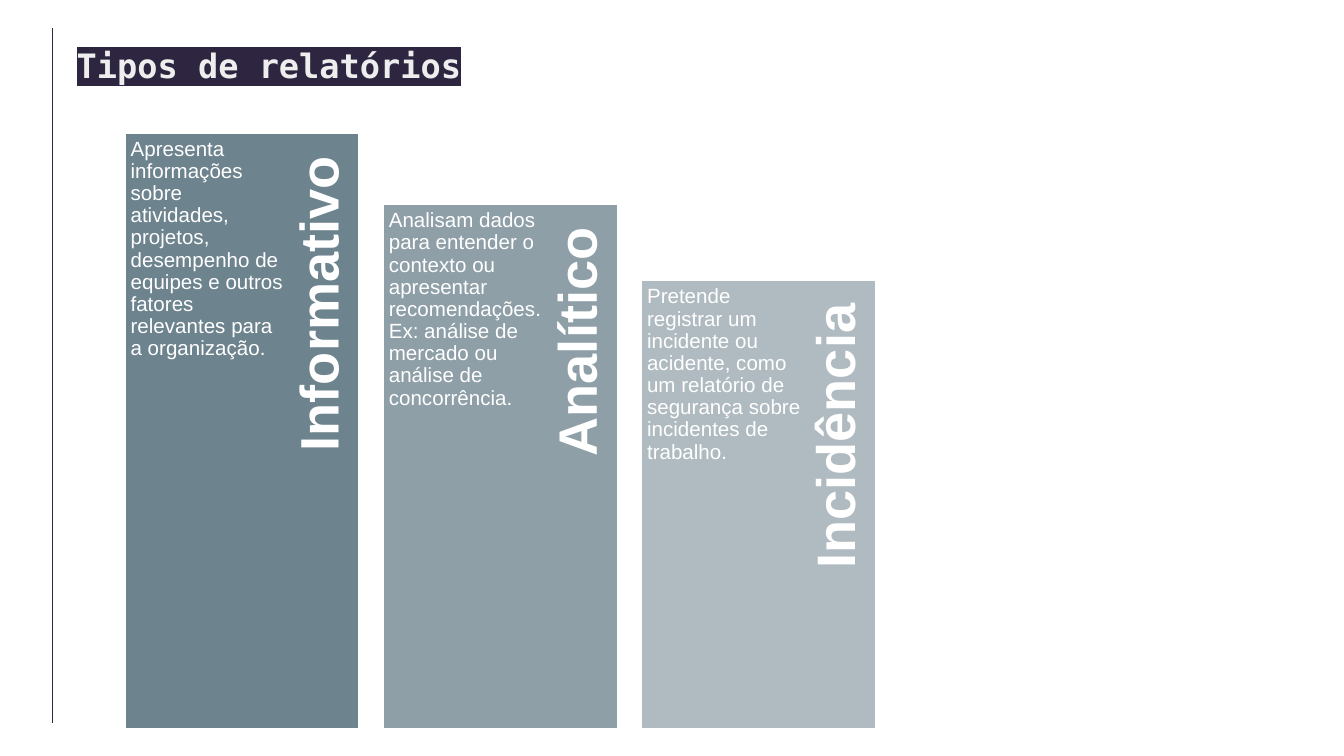
from lxml.etree import SubElement
from pptx import Presentation
from pptx.dml.color import RGBColor
from pptx.enum.shapes import MSO_CONNECTOR as LINE, MSO_SHAPE as SHAPE
from pptx.enum.text import MSO_ANCHOR as ANCHOR, MSO_AUTO_SIZE as FIT, PP_ALIGN as ALIGN
from pptx.oxml import parse_xml
from pptx.oxml.ns import qn
from pptx.util import Cm, Pt

TITLE = "Tipos de relatórios"
DARK, WHITE = "2E2640", "FFFFFF"
BARS = [
    ("Informativo", 2.49, "6D838E",
     "Apresenta informações sobre atividades, projetos, desempenho de equipes "
     "e outros fatores relevantes para a organização."),
    ("Analítico", 3.84, "8F9FA8",
     "Analisam dados para entender o contexto ou apresentar recomendações. "
     "Ex: análise de mercado ou análise de concorrência."),
    ("Incidência", 5.28, "B0BBC1",
     "Pretende registrar um incidente ou acidente, como um relatório de "
     "segurança sobre incidentes de trabalho."),
]
LEFT, STEP, WIDE, BASE = 2.34, 4.88, 4.47, 13.79
BODY, MID, THICK = 3.18, 3.78, 1.17


def color(code):
    return RGBColor.from_string(code)


def write(box, text, size=11, font="Arial", fill=WHITE, bold=False, mark=None,
          align=ALIGN.LEFT, anchor=ANCHOR.TOP, space=0.9,
          inset=(0.13, 0.13, 0.13, 0.13)):
    frame = box.text_frame
    frame.word_wrap = True
    frame.auto_size = FIT.NONE
    frame.vertical_anchor = anchor
    (frame.margin_left, frame.margin_top,
     frame.margin_right, frame.margin_bottom) = map(Cm, inset)
    para = frame.paragraphs[0]
    para.alignment = align
    para.line_spacing = space
    run = para.add_run()
    run.text = text
    run.font.size = Pt(size)
    run.font.bold = bold
    run.font.color.rgb = color(fill)
    if mark:
        light = SubElement(run.font._element, qn("a:highlight"))
        SubElement(light, qn("a:srgbClr")).set("val", mark)
    run.font.name = font


def place(shape, *spot):
    shape.left, shape.top, shape.width, shape.height = map(Cm, spot)


def draw_bar(shapes, left, top, high, fill):
    bar = shapes.add_shape(SHAPE.RECTANGLE, *map(Cm, (left, top, WIDE, high)))
    bar.shadow.inherit = False
    bar.fill.solid()
    bar.fill.fore_color.rgb = color(fill)
    bar.line.color.rgb = color(WHITE)
    bar.line.width = Pt(2)


def draw_rule(shapes):
    rule = shapes.add_connector(LINE.STRAIGHT, *map(Cm, (0.99, 0.53, 0.99, 13.67)))
    rule.line.color.rgb = color(DARK)
    rule.line.width = Pt(0.75)
    SubElement(rule._element.spPr, qn("a:effectLst"))


def main():
    deck = Presentation()
    deck.slide_width, deck.slide_height = Cm(25.4), Cm(14.29)
    shapes = deck.slides.add_slide(deck.slide_layouts[5]).shapes

    place(shapes.title, 1.45, 0.71, 16.81, 1.02)
    write(shapes.title, TITLE, size=18, font="DejaVu Sans Mono", fill="EEEEEE",
          bold=True, mark=DARK, space=1.0, inset=(0, 0.13, 0.13, 0.13))
    draw_rule(shapes)

    for i, (name, top, fill, text) in enumerate(BARS):
        left, high = LEFT + i * STEP, BASE - top
        draw_bar(shapes, left, top, high, fill)

        span = 0.9 * high
        label = shapes.add_textbox(
            Cm(left + MID - span / 2), Cm(top + span / 2 - THICK / 2),
            Cm(span), Cm(THICK))
        label.rotation = 270
        write(label, name, size=29, bold=True, align=ALIGN.RIGHT,
              anchor=ANCHOR.MIDDLE, inset=(0.3, 0, 0.46, 0.1))

        body = shapes.add_textbox(*map(Cm, (left, top, BODY, high)))
        write(body, text)

    deck.save("out.pptx")


if __name__ == "__main__":
    main()
